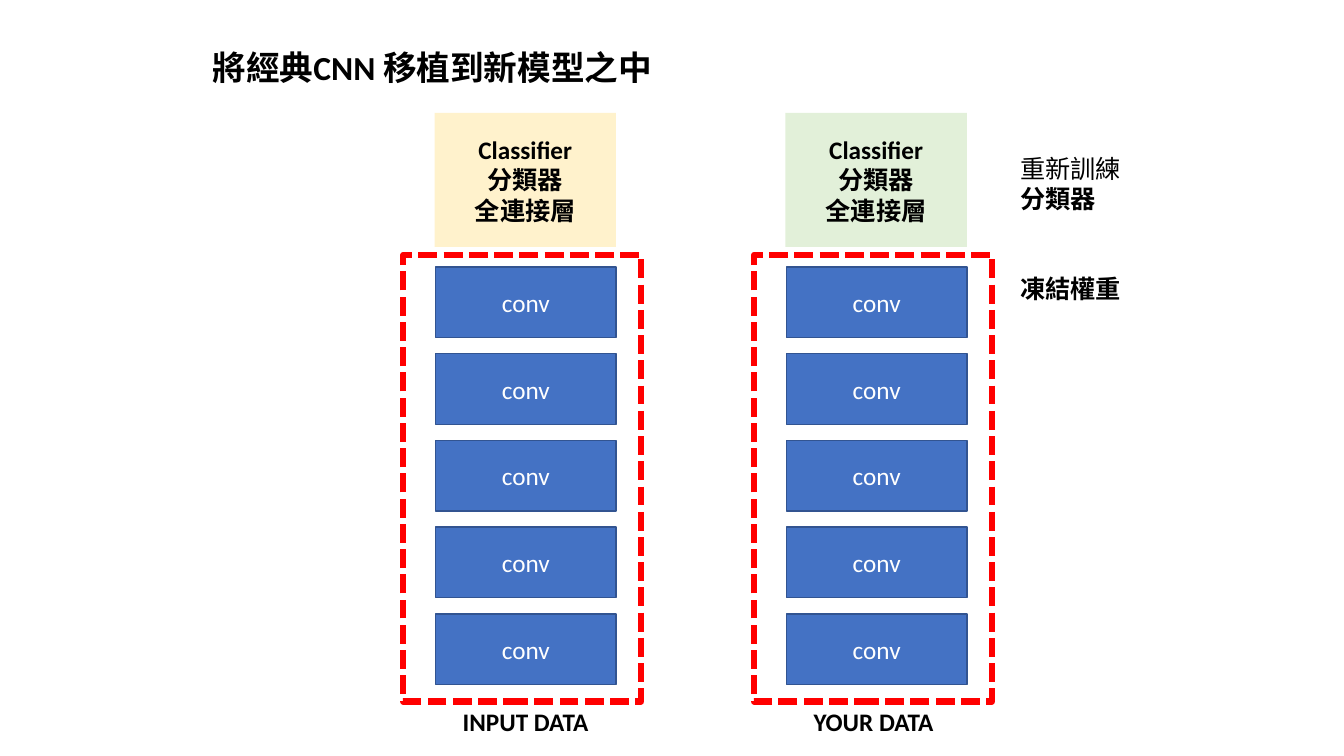
import pptx
import pptx.dml.color
import pptx.enum.dml
import pptx.enum.shapes
import pptx.enum.text
import pptx.util

Inches = pptx.util.Inches
Pt = pptx.util.Pt
ALIGN = pptx.enum.text.PP_ALIGN
ANCHOR = pptx.enum.text.MSO_ANCHOR
FIT = pptx.enum.text.MSO_AUTO_SIZE


def color(code):
    return pptx.dml.color.RGBColor.from_string(code)


def write(frame, lines, size=18, ink="000000", align=ALIGN.LEFT):
    """Fill a text frame with (text, bold) lines, one paragraph each."""
    for i, (text, bold) in enumerate(lines):
        para = frame.paragraphs[0] if i == 0 else frame.add_paragraph()
        para.alignment = align
        run = para.add_run()
        run.text = text
        run.font.name = "Calibri"
        run.font.size = Pt(size)
        run.font.bold = bold
        run.font.color.rgb = color(ink)


def rect(slide, x, y, w, h, fill=None, line=None, width=1):
    shape = slide.shapes.add_shape(
        pptx.enum.shapes.MSO_SHAPE.RECTANGLE,
        Inches(x), Inches(y), Inches(w), Inches(h))
    shape.shadow.inherit = False
    if fill:
        shape.fill.solid()
        shape.fill.fore_color.rgb = color(fill)
    else:
        shape.fill.background()
    if line:
        shape.line.color.rgb = color(line)
        shape.line.width = Pt(width)
    else:
        shape.line.fill.background()
    shape.text_frame.vertical_anchor = ANCHOR.MIDDLE
    return shape


def label(slide, x, y, w, h, lines, size=18, wrap=True):
    frame = slide.shapes.add_textbox(
        Inches(x), Inches(y), Inches(w), Inches(h)).text_frame
    frame.word_wrap = wrap
    frame.auto_size = FIT.SHAPE_TO_FIT_TEXT
    write(frame, lines, size)


def model(slide, x, y, tint, source):
    """One network: classifier, five conv layers, frozen frame, data label."""
    # Conv layers
    for i in range(5):
        conv = rect(slide, x + 0.32, y + 1.53 + 0.86 * i, 1.79, 0.7,
                    "4472C4", "325491")
        write(conv.text_frame, [("conv", False)], ink="FFFFFF",
              align=ALIGN.CENTER)

    # Classifier
    head = rect(slide, x + 0.31, y, 1.8, 1.33, tint)
    write(head.text_frame,
          [("Classifier", True), ("分類器", True), ("全連接層", True)],
          align=ALIGN.CENTER)

    # Data label
    label(slide, x + 0.49, y + 5.84, 1.45, 0.4, [(source, True)])

    # Frame around the frozen layers
    frame = rect(slide, x, y + 1.41, 2.36, 4.43, line="FF0000", width=4.5)
    frame.line.dash_style = pptx.enum.dml.MSO_LINE.SQUARE_DOT


def notes(slide, x, y):
    """Remarks beside the second model."""
    label(slide, x, y + 1.19, 1.21, 0.4, [("凍結權重", True)], wrap=False)
    label(slide, x, y, 1.21, 0.71,
          [("重新訓練", False), ("分類器", True)], wrap=False)


def main():
    deck = pptx.Presentation()
    deck.slide_width = Inches(13.33)
    deck.slide_height = Inches(7.5)
    slide = deck.slides.add_slide(deck.slide_layouts[6])

    model(slide, 4, 1.12, "FFF2CC", "INPUT DATA")
    model(slide, 7.48, 1.12, "E2F0D9", "YOUR DATA")
    notes(slide, 10.02, 1.47)

    # Title
    label(slide, 2.01, 0.42, 4.59, 0.5,
          [("將經典CNN 移植到新模型之中", True)], size=24)

    deck.save("out.pptx")


if __name__ == "__main__":
    main()
